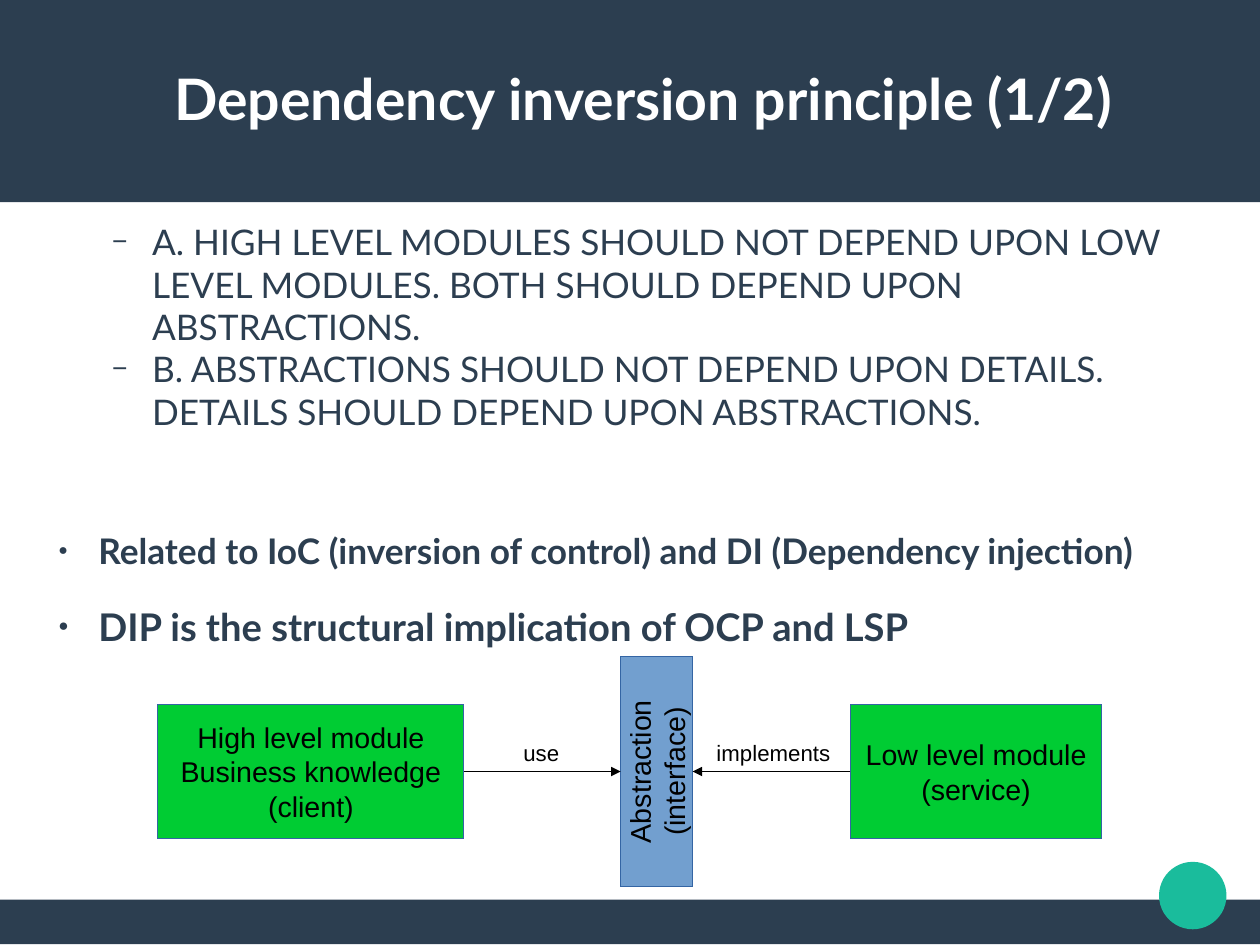
import pptx
import pptx.dml.color
import pptx.enum.shapes
import pptx.enum.text
import pptx.util
from lxml import etree
from pptx.oxml.ns import qn
from pptx.util import Inches

RGBColor = pptx.dml.color.RGBColor
NAVY = RGBColor(0x2C, 0x3E, 0x50)
TEAL = RGBColor(0x1A, 0xBC, 0x9C)
GREEN = RGBColor(0x00, 0xCC, 0x33)
BLUE = RGBColor(0x72, 0x9F, 0xCF)
BORDER = RGBColor(0x34, 0x65, 0xA4)
WHITE = RGBColor(0xFF, 0xFF, 0xFF)
BLACK = RGBColor(0x00, 0x00, 0x00)

SHAPE = pptx.enum.shapes.MSO_SHAPE
ANCHOR = pptx.enum.text.MSO_ANCHOR
ALIGN = pptx.enum.text.PP_ALIGN
AUTO_SIZE = pptx.enum.text.MSO_AUTO_SIZE

CENTIMETRES_PER_INCH = 2.54
SLIDE_WIDTH = 28 / CENTIMETRES_PER_INCH
SLIDE_HEIGHT = 21 / CENTIMETRES_PER_INCH
AXIS = 6.75
MODULE_HEIGHT = 1.18

PRINCIPLES = [
    ("A. HIGH LEVEL MODULES SHOULD NOT DEPEND UPON LOW LEVEL MODULES. "
     "BOTH SHOULD DEPEND UPON ABSTRACTIONS.", {}),
    ("B. ABSTRACTIONS SHOULD NOT DEPEND UPON DETAILS. "
     "DETAILS SHOULD DEPEND UPON ABSTRACTIONS.", {"space_after": 11.3}),
]
RELATIONS = [
    ("Related to IoC (inversion of control) and DI (Dependency injection)",
     22.2, {"space_before": 49.8, "space_after": 25.5}),
    ("DIP is the structural implication of OCP and LSP",
     24, {"space_after": 8.5, "line_spacing": 0.8}),
]


def set_attributes(target, values):
    for name, value in values.items():
        setattr(target, name, value)


def format_font(paragraph, name, size, color, bold=False):
    set_attributes(paragraph.font, {
        "name": name, "size": pptx.util.Pt(size), "bold": bold})
    paragraph.font.color.rgb = color


def place(shape, left, top, width, height):
    set_attributes(shape, {
        "left": Inches(left), "top": Inches(top),
        "width": Inches(width), "height": Inches(height)})


def format_frame(frame, anchor, wrap, margins=(0, 0)):
    horizontal, vertical = (Inches(margin) for margin in margins)
    set_attributes(frame, {
        "auto_size": AUTO_SIZE.NONE, "vertical_anchor": anchor,
        "word_wrap": wrap, "margin_left": horizontal,
        "margin_right": horizontal, "margin_top": vertical,
        "margin_bottom": vertical})


def draw_hairline(shape, color):
    shape.line.color.rgb = color
    line = shape.element.spPr.find(qn("a:ln"))
    line.set("w", "0")
    return line


def add_block(slide, kind, box, fill, border=None):
    shape = slide.shapes.add_shape(kind, *map(Inches, box))
    shape.shadow.inherit = False
    shape.fill.solid()
    shape.fill.fore_color.rgb = fill
    if border is None:
        shape.line.fill.background()
    else:
        draw_hairline(shape, border)
    return shape


def add_decoration(slide, kind, box, fill):
    shape = add_block(slide, kind, box, fill)
    slide.shapes.title.element.addprevious(shape.element)


def add_module(slide, lines, left, width, height, fill, rotation=0):
    box = (left, AXIS - height / 2, width, height)
    shape = add_block(slide, SHAPE.RECTANGLE, box, fill, BORDER)
    shape.rotation = rotation
    frame = shape.text_frame
    format_frame(frame, ANCHOR.MIDDLE, False, (0.1, 0.05))
    frame.text = "\n".join(lines)
    for paragraph in frame.paragraphs:
        paragraph.alignment = ALIGN.CENTER
        format_font(paragraph, "Arial", 18, BLACK)


def add_arrow(slide, start, end, label, label_left, label_width):
    connector = slide.shapes.add_connector(
        pptx.enum.shapes.MSO_CONNECTOR.STRAIGHT,
        Inches(start), Inches(AXIS), Inches(end), Inches(AXIS))
    line = draw_hairline(connector, BLACK)
    etree.SubElement(line, qn("a:tailEnd"), type="triangle")
    etree.SubElement(connector.element.spPr, qn("a:effectLst"))
    text_box = slide.shapes.add_textbox(
        *map(Inches, (label_left, 6.42, label_width, 0.32)))
    format_frame(text_box.text_frame, ANCHOR.TOP, False, (0.1, 0.05))
    paragraph = text_box.text_frame.paragraphs[0]
    paragraph.text = label
    format_font(paragraph, "Arial", 14, BLACK)


def add_bullet(paragraph, character, percent, left):
    properties = paragraph._p.get_or_add_pPr()
    properties.set("marL", str(Inches(left)))
    properties.set("indent", str(Inches(-0.35)))
    color = etree.SubElement(properties, qn("a:buClr"))
    etree.SubElement(color, qn("a:srgbClr"), val=str(NAVY))
    etree.SubElement(properties, qn("a:buSzPct"), val=str(percent * 1000))
    etree.SubElement(properties, qn("a:buChar"), char=character)


def fill_title(slide):
    title = slide.shapes.title
    place(title, 0.39, 0.33, 10.47, 1.05)
    format_frame(title.text_frame, ANCHOR.MIDDLE, True)
    paragraph = title.text_frame.paragraphs[0]
    paragraph.text = "Dependency inversion principle (1/2)"
    paragraph.alignment = ALIGN.CENTER
    format_font(paragraph, "Lato", 36, WHITE, True)


def fill_body(slide):
    body = slide.placeholders[1]
    place(body, 0.39, 1.93, 10.31, 3.5)
    frame = body.text_frame
    format_frame(frame, ANCHOR.TOP, True)
    items = [(text, 1, 22.2, spacing) for text, spacing in PRINCIPLES]
    items += [(text, 0, size, spacing) for text, size, spacing in RELATIONS]
    frame.text = "\n".join(item[0] for item in items)
    for paragraph, (text, level, size, spacing) in zip(frame.paragraphs, items):
        paragraph.level = level
        if level:
            add_bullet(paragraph, "−", 75, 0.94)
        else:
            add_bullet(paragraph, "●", 45, 0.47)
        paragraph.line_spacing = spacing.get("line_spacing", 1.0)
        for name in ("space_before", "space_after"):
            setattr(paragraph, name, pptx.util.Pt(spacing.get(name, 0)))
        format_font(paragraph, "Lato", size, NAVY, level == 0)


def main():
    presentation = pptx.Presentation()
    presentation.slide_width = Inches(SLIDE_WIDTH)
    presentation.slide_height = Inches(SLIDE_HEIGHT)
    slide = presentation.slides.add_slide(presentation.slide_layouts[1])

    add_decoration(slide, SHAPE.RECTANGLE, (0, 7.87, SLIDE_WIDTH, 0.39), NAVY)
    add_decoration(slide, SHAPE.RECTANGLE, (0, 0, SLIDE_WIDTH, 1.77), NAVY)
    add_decoration(slide, SHAPE.OVAL, (10.14, 7.54, 0.59, 0.59), TEAL)
    fill_title(slide)
    fill_body(slide)

    add_module(slide, ["High level module", "Business knowledge", "(client)"],
               1.38, 2.68, MODULE_HEIGHT, GREEN)
    add_module(slide, ["Low level module", "(service)"],
               7.44, 2.2, MODULE_HEIGHT, GREEN)
    add_module(slide, ["Abstraction", "(interface)"],
               4.74, 2.01, 0.63, BLUE, 270)
    add_arrow(slide, 4.06, 5.43, "use", 4.48, 0.51)
    add_arrow(slide, 7.44, 6.06, "implements", 6.17, 1.19)

    presentation.save("out.pptx")


if __name__ == "__main__":
    main()
